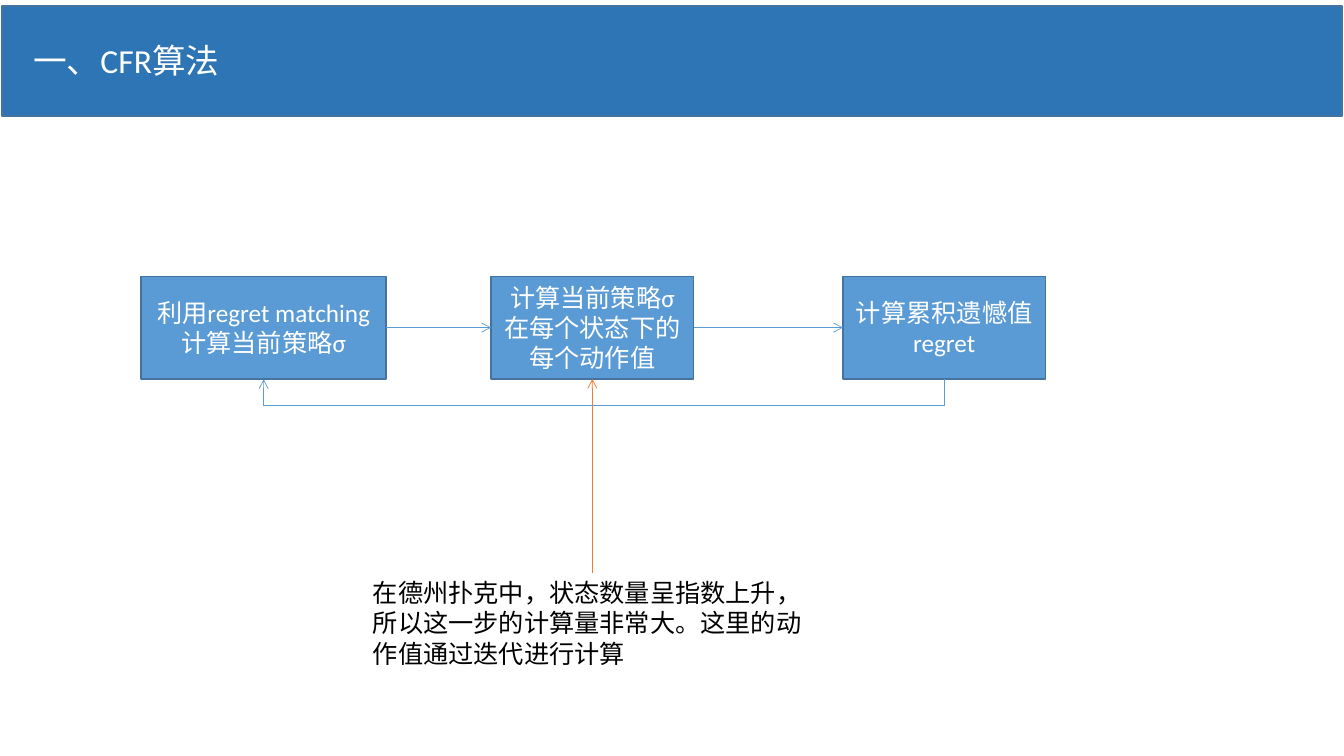
from dataclasses import dataclass

from lxml import etree
from pptx import Presentation
from pptx import util as u
from pptx.dml.color import RGBColor
from pptx.enum import shapes, text
from pptx.oxml.ns import qn

PX = 9144
BANNER_BLUE = RGBColor(0x2E, 0x75, 0xB6)
STEP_BLUE = RGBColor(0x5B, 0x9B, 0xD5)
EDGE_BLUE = RGBColor(0x43, 0x73, 0x9E)
NOTE_ORANGE = RGBColor(0xED, 0x7D, 0x31)
WHITE = RGBColor(0xFF, 0xFF, 0xFF)
BLACK = RGBColor(0, 0, 0)

STEP_TOP, STEP_HEIGHT = 274, 102
LOOP_DROP = 26
LOOP_THICKNESS = 3175
TOP, LEFT, BOTTOM, RIGHT = range(4)


@dataclass(frozen=True)
class Step:
    left: int
    width: int
    wording: str


STEPS = [
    Step(140, 243, "利用regret matching计算当前策略σ"),
    Step(487, 201, "计算当前策略σ在每个状态下的每个动作值"),
    Step(836, 201, "计算累积遗憾值regret"),
]


def px(length: int) -> u.Emu:
    return u.Emu(length * PX)


def write(shape, wording: str, size: int, color: RGBColor, align, frame_format: dict) -> None:
    frame = shape.text_frame
    for name, value in frame_format.items():
        setattr(frame, name, value)
    paragraph = frame.paragraphs[0]
    paragraph.alignment = align
    run = paragraph.add_run()
    run.text = wording
    font_format = {"name": "Calibri", "size": u.Pt(size), "bold": False}
    for name, value in font_format.items():
        setattr(run.font, name, value)
    run.font.color.rgb = color


def add_block(slide, left: int, top: int, width: int, height: int, fill: RGBColor):
    block = slide.shapes.add_shape(
        shapes.MSO_SHAPE.RECTANGLE, px(left), px(top), px(width), px(height))
    block.shadow.inherit = False
    block.fill.solid()
    block.fill.fore_color.rgb = fill
    block.line.color.rgb = EDGE_BLUE
    block.line.width = u.Pt(1)
    return block


def add_arrow(slide, kind, source, source_side: int, target, target_side: int, color: RGBColor):
    arrow = slide.shapes.add_connector(kind, 0, 0, 0, 0)
    arrow.begin_connect(source, source_side)
    arrow.end_connect(target, target_side)
    arrow.line.color.rgb = color
    arrow.line.width = u.Pt(0.5)
    etree.SubElement(arrow.line._get_or_add_ln(), qn("a:tailEnd"), type="arrow")
    etree.SubElement(arrow._element.spPr, qn("a:effectLst"))
    return arrow


def route_below(loop, source, target) -> None:
    start = source.left + source.width // 2
    end = target.left + target.width // 2
    span = start - end
    bottom = source.top + source.height
    transform = loop._element.spPr.find(qn("a:xfrm"))
    for flip in ("flipH", "flipV"):
        transform.attrib.pop(flip, None)
    transform.set("rot", str(90 * 60000))
    placement = {
        "left": u.Emu((start + end - LOOP_THICKNESS) // 2),
        "top": u.Emu(bottom + (LOOP_THICKNESS - span) // 2),
        "width": u.Emu(LOOP_THICKNESS),
        "height": u.Emu(span),
    }
    for name, value in placement.items():
        setattr(loop, name, value)
    geometry = loop._element.spPr.find(qn("a:prstGeom"))
    guides = geometry.find(qn("a:avLst"))
    if guides is None:
        guides = etree.SubElement(geometry, qn("a:avLst"))
    bend = LOOP_DROP * PX * 100000 // LOOP_THICKNESS
    etree.SubElement(guides, qn("a:gd"), name="adj1", fmla=f"val {bend}")


def main() -> None:
    deck = Presentation()
    deck.slide_width, deck.slide_height = px(1333), px(750)
    slide = deck.slides.add_slide(deck.slide_layouts[5])

    add_block(slide, 2, 6, 1329, 109, BANNER_BLUE)
    heading = slide.shapes.title
    slide.shapes._spTree.append(heading._element)
    placement = {"left": px(23), "top": px(35), "width": px(877), "height": px(50)}
    for name, value in placement.items():
        setattr(heading, name, value)
    top_format = {
        "word_wrap": True,
        "auto_size": text.MSO_AUTO_SIZE.SHAPE_TO_FIT_TEXT,
        "vertical_anchor": text.MSO_ANCHOR.TOP,
    }
    write(heading, "一、CFR算法", 24, WHITE, text.PP_ALIGN.LEFT, top_format)

    middle_format = {"word_wrap": True, "vertical_anchor": text.MSO_ANCHOR.MIDDLE}
    blocks = []
    for step in STEPS:
        block = add_block(slide, step.left, STEP_TOP, step.width, STEP_HEIGHT, STEP_BLUE)
        write(block, step.wording, 18, WHITE, text.PP_ALIGN.CENTER, middle_format)
        blocks.append(block)
    strategy, action_values, regret = blocks

    note = slide.shapes.add_textbox(px(360), px(568), px(455), px(101))
    write(note, "在德州扑克中，状态数量呈指数上升，所以这一步的计算量非常大。这里的动作值通过迭代进行计算",
          18, BLACK, text.PP_ALIGN.LEFT, top_format)

    straight, elbow = shapes.MSO_CONNECTOR.STRAIGHT, shapes.MSO_CONNECTOR.ELBOW
    for source, target in zip(blocks, blocks[1:]):
        add_arrow(slide, straight, source, RIGHT, target, LEFT, STEP_BLUE)
    loop = add_arrow(slide, elbow, regret, BOTTOM, strategy, BOTTOM, STEP_BLUE)
    route_below(loop, regret, strategy)
    add_arrow(slide, straight, note, TOP, action_values, BOTTOM, NOTE_ORANGE)

    deck.save("out.pptx")


if __name__ == "__main__":
    main()
